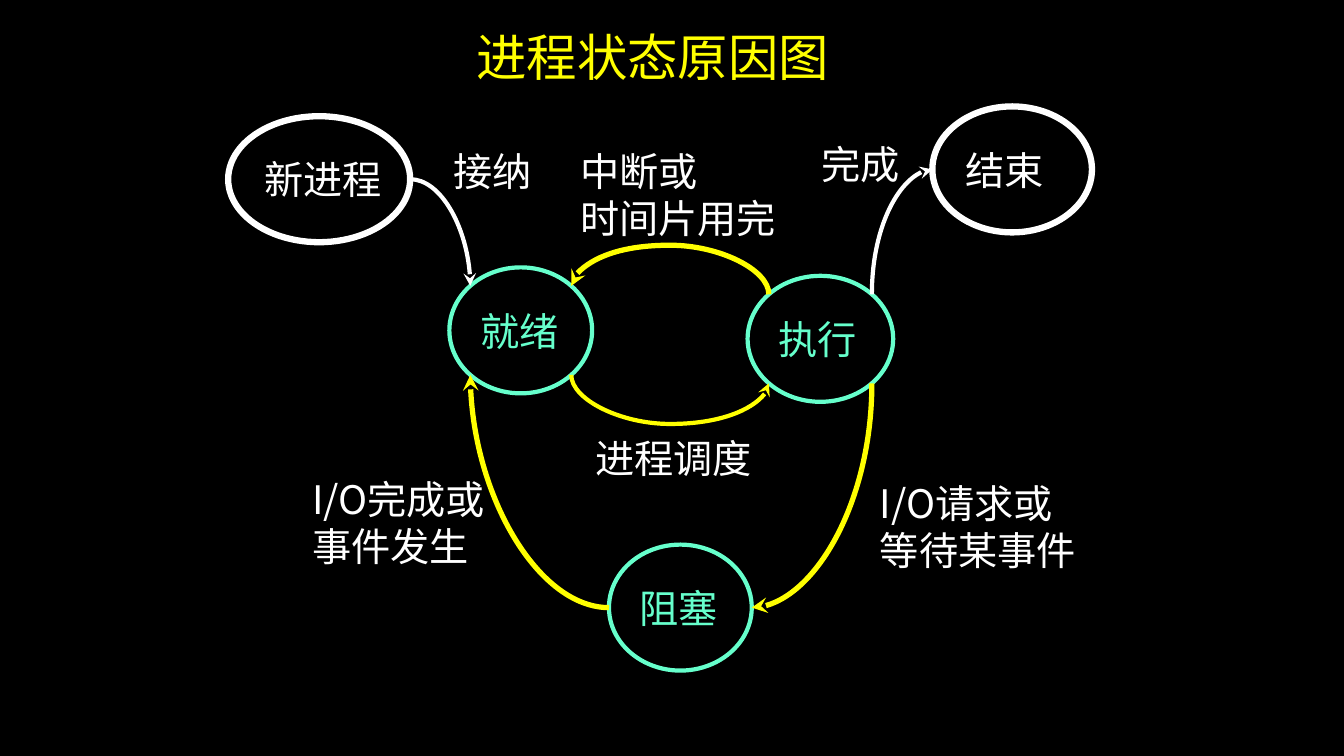
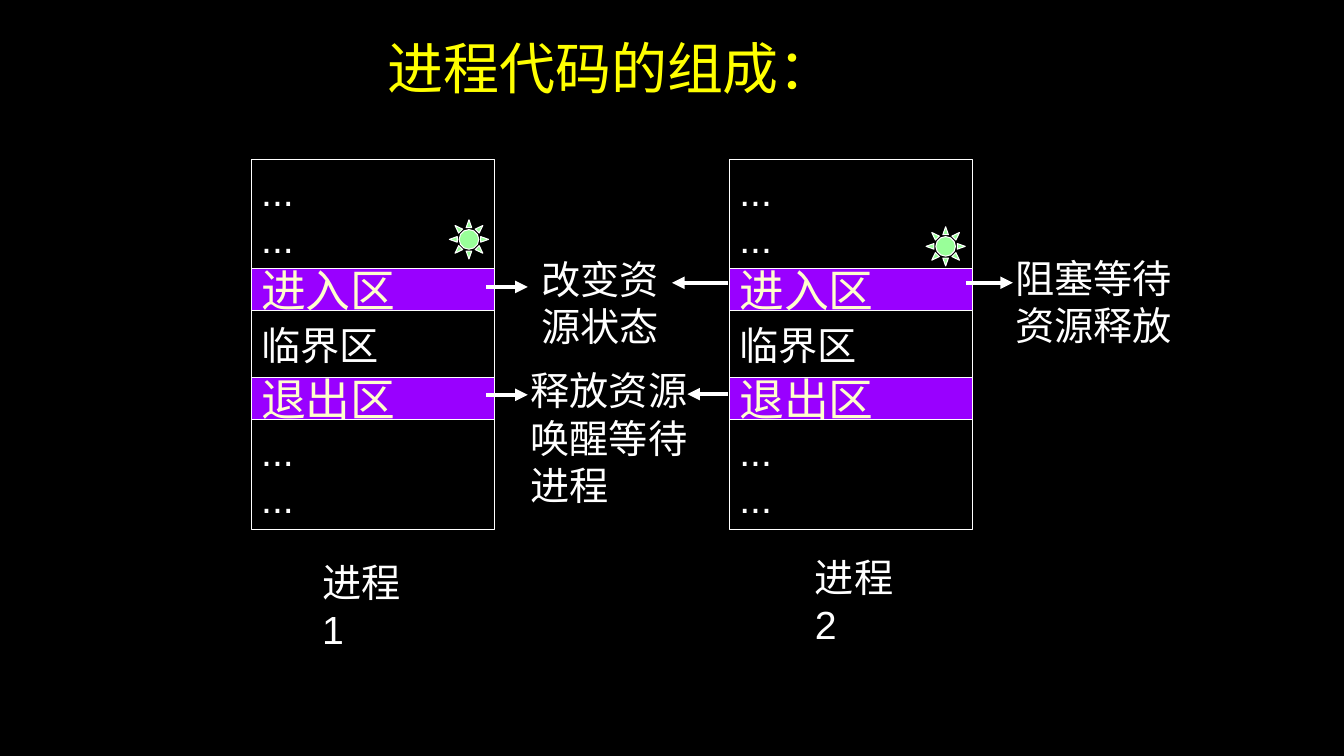
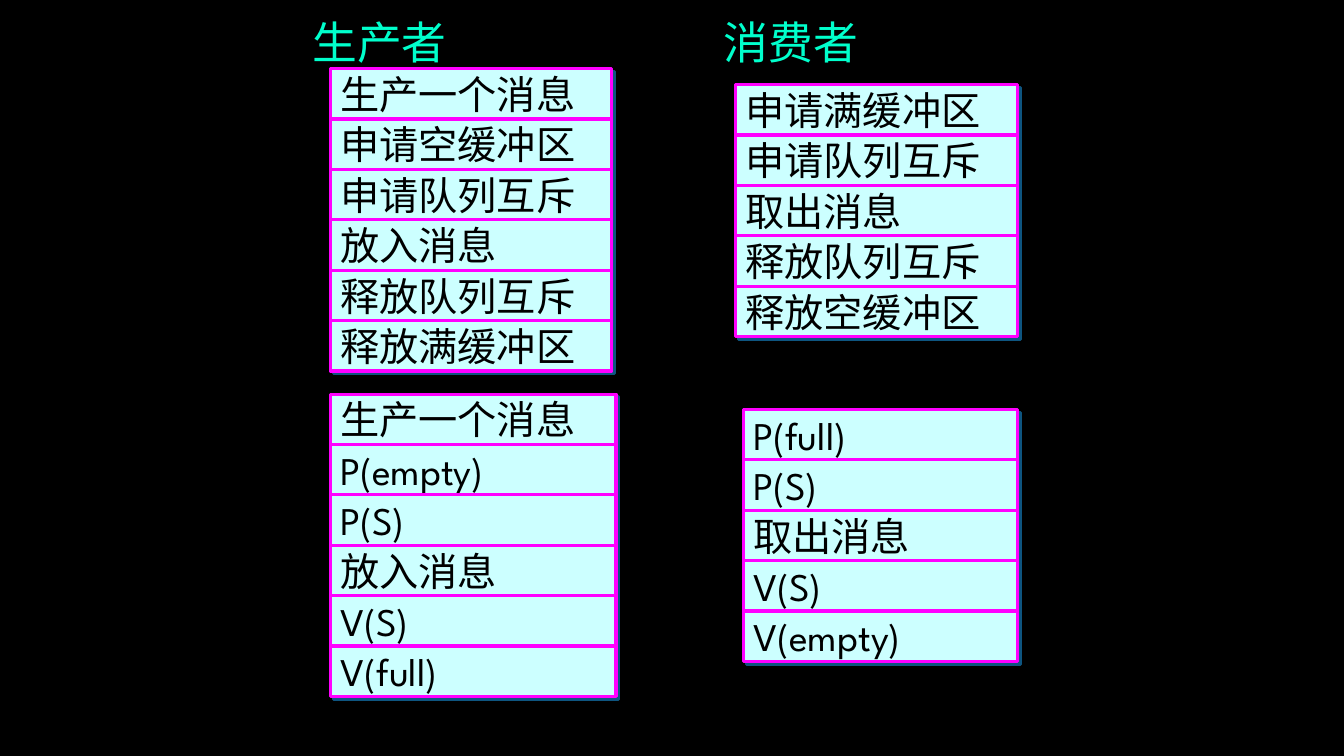
import math

import lxml.etree
import pptx
import pptx.dml.color
import pptx.enum.shapes
import pptx.enum.text
import pptx.oxml.ns
import pptx.util

Pt = pptx.util.Pt
qn = pptx.oxml.ns.qn
SHAPES = pptx.enum.shapes.MSO_SHAPE
CONNECTORS = pptx.enum.shapes.MSO_CONNECTOR
ANCHORS = pptx.enum.text.MSO_ANCHOR
ALIGNMENTS = pptx.enum.text.PP_ALIGN

COLOURS = {
    "black": "000000", "white": "FFFFFF", "yellow": "FFFF00",
    "mint": "66FFCC", "turquoise": "00FFCC", "purple": "9900FF",
    "cream": "FFFFCC", "green": "99FF99", "ice": "CCFFFF",
    "magenta": "FF00FF", "shadow": "0E5580",
}
CHINESE = "Noto Sans CJK SC"
JAPANESE = "Noto Sans CJK JP"
LATIN = "Arial"
ROUNDED = "League Spartan"
TITLE_ONLY, BLANK = 5, 6
LINE_HEIGHT = 1.2

# Connection sites of an ellipse, counted anticlockwise from the top.
TOP_LEFT, LEFT, BOTTOM_LEFT, BOTTOM_RIGHT, RIGHT, TOP_RIGHT = 1, 2, 3, 5, 6, 7
HEADINGS = {"right": 0, "down": 90, "left": 180, "up": 270}


def colour(name):
    return pptx.dml.color.RGBColor.from_string(COLOURS[name])


def set_attributes(target, values):
    for name, value in values.items():
        setattr(target, name, value)


def format_span(span, size, colour_name, font_name):
    set_attributes(span.font, {"size": Pt(size), "name": font_name})
    span.font.color.rgb = colour(colour_name)
    east_asian = font_name if font_name == JAPANESE else CHINESE
    properties = span.font._element
    lxml.etree.SubElement(properties, qn("a:ea")).set("typeface", east_asian)


def write_lines(frame, lines, size, colour_name, font_name,
                fixed_height=True, align=ALIGNMENTS.LEFT):
    """Fill a frame; a line is a string or a list of (text, font) pairs."""
    for index, line in enumerate(lines):
        para = frame.paragraphs[0] if index == 0 else frame.add_paragraph()
        para.alignment = align
        if fixed_height:
            para.line_spacing = Pt(LINE_HEIGHT * size)
        pieces = [(line, font_name)] if isinstance(line, str) else line
        for text, piece_font in pieces:
            span = para.add_run()
            span.text = text
            format_span(span, size, colour_name, piece_font)


def add_page(deck, layout):
    return deck.slides.add_slide(deck.slide_layouts[layout])


def add_title(page, text, bounds, size, align=ALIGNMENTS.LEFT):
    title = page.shapes.title
    for name, value in zip(("left", "top", "width", "height"), bounds):
        setattr(title, name, Pt(value))
    set_attributes(title.text_frame, {
        "word_wrap": True, "vertical_anchor": ANCHORS.TOP,
        "auto_size": pptx.enum.text.MSO_AUTO_SIZE.NONE})
    write_lines(title.text_frame, [text], size, "yellow", CHINESE, align=align)


def add_label(page, lines, bounds, font_name, size=28, colour_name="white"):
    box = page.shapes.add_textbox(*map(Pt, bounds))
    box.text_frame.word_wrap = True
    write_lines(box.text_frame, lines, size, colour_name, font_name)


def add_figure(shapes, preset, bounds, line, weight, fill=None):
    figure = shapes.add_shape(preset, *map(Pt, bounds))
    figure.shadow.inherit = False
    if fill:
        figure.fill.solid()
        figure.fill.fore_color.rgb = colour(fill)
    else:
        figure.fill.background()
    figure.line.color.rgb = colour(line)
    figure.line.width = Pt(weight)
    set_attributes(figure.text_frame, {
        "word_wrap": False, "vertical_anchor": ANCHORS.MIDDLE})
    return figure


def style_connector(connector, colour_name, weight, head):
    connector.line.color.rgb = colour(colour_name)
    connector.line.width = Pt(weight)
    line = connector.line._ln
    lxml.etree.SubElement(line, qn("a:tailEnd")).set("type", head)
    lxml.etree.SubElement(connector._element.spPr, qn("a:effectLst"))


def add_arrow(page, start_x, end_x, y):
    arrow = page.shapes.add_connector(
        CONNECTORS.STRAIGHT, Pt(start_x), Pt(y), Pt(end_x), Pt(y))
    style_connector(arrow, "white", 3, "triangle")


def add_state(page, text, bounds, colour_name, weight):
    state = add_figure(page.shapes, SHAPES.OVAL, bounds, colour_name, weight)
    write_lines(state.text_frame, [text], 28, colour_name, CHINESE, False)
    return state


def site_point(state, site):
    angle = math.radians(-90 - 45 * site)
    return (state.left.pt + state.width.pt / 2 * (1 + math.cos(angle)),
            state.top.pt + state.height.pt / 2 * (1 + math.sin(angle)))


def add_transition(page, source, target, heading, colour_name, weight, bulge=0):
    """Curve between two (state, site) ends, leaving along heading.

    Without bulge it is a clockwise quarter turn; with bulge it bows out
    that far and returns.
    """
    (x1, y1), (x2, y2) = site_point(*source), site_point(*target)
    rotation = HEADINGS[heading]
    width, height = abs(x2 - x1), abs(y2 - y1)
    if rotation % 180:
        width, height = height, width
    left, top = (x1 + x2 - width) / 2, (y1 + y2 - height) / 2
    begin_x, end_x = left, left + width
    if bulge:
        begin_x, end_x = end_x, begin_x
        rotation = (rotation + 180) % 360
    curve = page.shapes.add_connector(
        CONNECTORS.CURVE, Pt(begin_x), Pt(top), Pt(end_x), Pt(top + height))
    curve.rotation = rotation
    geometry = curve._element.spPr.find(qn("a:prstGeom"))
    if bulge:
        guide = lxml.etree.SubElement(
            geometry.find(qn("a:avLst")), qn("a:gd"))
        guide.set("name", "adj1")
        guide.set("fmla", f"val {round(bulge / width * 100000)}")
    else:
        geometry.set("prst", "curvedConnector2")
    links = curve._element.find(".//" + qn("p:cNvCxnSpPr"))
    for tag, (state, site) in (("a:stCxn", source), ("a:endCxn", target)):
        link = lxml.etree.SubElement(links, qn(tag))
        link.set("id", str(state.shape_id))
        link.set("idx", str(site))
    style_connector(curve, colour_name, weight, "stealth")


def add_code_column(page, left):
    top = 114
    sections = [
        (["...", "..."], 78, None, 28, "white"),
        (["进入区"], 30, "purple", 32, "cream"),
        (["临界区"], 48, "black", 28, "white"),
        (["退出区"], 30, "purple", 32, "cream"),
        (["...", "..."], 78, None, 28, "white"),
    ]
    for lines, height, fill, size, text_colour in sections:
        section = add_figure(page.shapes, SHAPES.RECTANGLE,
                             (left, top, 174, height), "white", 0.75, fill)
        write_lines(section.text_frame, lines, size, text_colour, LATIN,
                    len(lines) > 1)
        top += height


def add_shadow(figure):
    effects = figure._element.spPr.find(qn("a:effectLst"))
    shadow = lxml.etree.SubElement(effects, qn("a:outerShdw"))
    for name, value in {"dist": Pt(2.8), "dir": 45 * 60000,
                        "algn": "ctr", "rotWithShape": 0}.items():
        shadow.set(name, str(int(value)) if name != "algn" else value)
    lxml.etree.SubElement(shadow, qn("a:srgbClr")).set("val", COLOURS["shadow"])


def add_step_stack(page, steps, left, top, width):
    stack = page.shapes.add_group_shape()
    height = 36
    for index, text in enumerate(steps):
        step = add_figure(stack.shapes, SHAPES.RECTANGLE,
                          (left, top + index * height, width, height),
                          "magenta", 2.25, "ice")
        add_shadow(step)
        write_lines(step.text_frame, [text], 28, "black", ROUNDED, False)


def build_state_page(deck):
    page = add_page(deck, TITLE_ONLY)
    add_title(page, "进程状态原因图", (333, 15, 306, 60), 36)
    new = add_state(page, "新进程", (163, 83, 130, 90), "white", 4.5)
    ready = add_state(page, "就绪", (321, 191, 102, 90), "mint", 3)
    running = add_state(page, "执行", (534, 197, 104, 90), "mint", 3)
    ended = add_state(page, "结束", (666, 76, 114, 90), "white", 4.5)
    blocked = add_state(page, "阻塞", (435, 389, 102, 90), "mint", 3)

    for transition in (
        ((ready, BOTTOM_RIGHT), (running, BOTTOM_LEFT), "down", "yellow", 3, 35),
        ((running, TOP_RIGHT), (ended, LEFT), "up", "white", 3),
        ((running, TOP_LEFT), (ready, TOP_RIGHT), "up", "yellow", 3.75, 35),
        ((running, BOTTOM_RIGHT), (blocked, RIGHT), "down", "yellow", 3.75),
        ((blocked, LEFT), (ready, BOTTOM_LEFT), "left", "yellow", 3.75),
        ((new, RIGHT), (ready, TOP_LEFT), "right", "white", 3),
    ):
        add_transition(page, *transition)

    for lines, bounds in (
        (["接纳"], (317, 102, 73, 41)),
        (["进程调度"], (418, 307, 139, 41)),
        (["中断或", "时间片用完"], (407.5, 102, 163, 74)),
        (["完成"], (579.5, 96.5, 76, 41)),
        (["I/O请求或", "等待某事件"], (621.5, 338.5, 155, 74)),
        (["I/O完成或", "事件发生"], (216, 336, 138, 74)),
    ):
        add_label(page, lines, bounds, CHINESE)


def build_code_page(deck):
    page = add_page(deck, TITLE_ONLY)
    add_title(page, "进程代码的组成：", (253.5, 20, 366, 70.5), 40,
              ALIGNMENTS.CENTER)
    for left in (179.5, 521):
        add_code_column(page, left)
    for left, top in ((321, 157), (661.5, 162)):
        add_figure(page.shapes, SHAPES.SUN, (left, top, 28, 28),
                   "white", 0.75, "green")
    for start_x, end_x, y in ((690, 723.5, 202), (347.5, 377, 205),
                              (347.5, 377, 282), (520, 480, 202),
                              (520, 491, 281.5)):
        add_arrow(page, start_x, end_x, y)
    for lines, bounds in (
        (["阻塞等待", "资源释放"], (718, 178, 128, 75)),
        (["改变资源状态"], (379.5, 178.5, 117, 74)),
        (["释放资源", "唤醒等待进程"], (372, 258.5, 140, 108)),
        ([[("进程 ", JAPANESE), ("1", LATIN)]], (223, 395, 78, 74)),
        ([[("进程 ", JAPANESE), ("2", LATIN)]], (575, 391.5, 78, 74)),
    ):
        add_label(page, lines, bounds, LATIN)


def build_buffer_page(deck):
    page = add_page(deck, BLANK)
    for text, left in (("生产者", 216), ("消费者", 510)):
        add_label(page, [text], (left, 7, 156, 45), ROUNDED, 32, "turquoise")
    for steps, left, top, width in (
        (["生产一个消息", "申请空缓冲区", "申请队列互斥", "放入消息",
          "释放队列互斥", "释放满缓冲区"], 236, 49, 201),
        (["申请满缓冲区", "申请队列互斥", "取出消息", "释放队列互斥",
          "释放空缓冲区"], 525.5, 60.5, 201.5),
        (["生产一个消息", "P(empty)", "P(S)", "放入消息", "V(S)", "V(full)"],
         236, 281.5, 204),
        (["P(full)", "P(S)", "取出消息", "V(S)", "V(empty)"],
         531, 292.5, 196),
    ):
        add_step_stack(page, steps, left, top, width)


def main():
    deck = pptx.Presentation()
    set_attributes(deck, {"slide_width": Pt(960), "slide_height": Pt(540)})
    background = deck.slide_master.background.fill
    background.solid()
    background.fore_color.rgb = colour("black")
    build_state_page(deck)
    build_code_page(deck)
    build_buffer_page(deck)
    deck.save("out.pptx")


if __name__ == "__main__":
    main()
